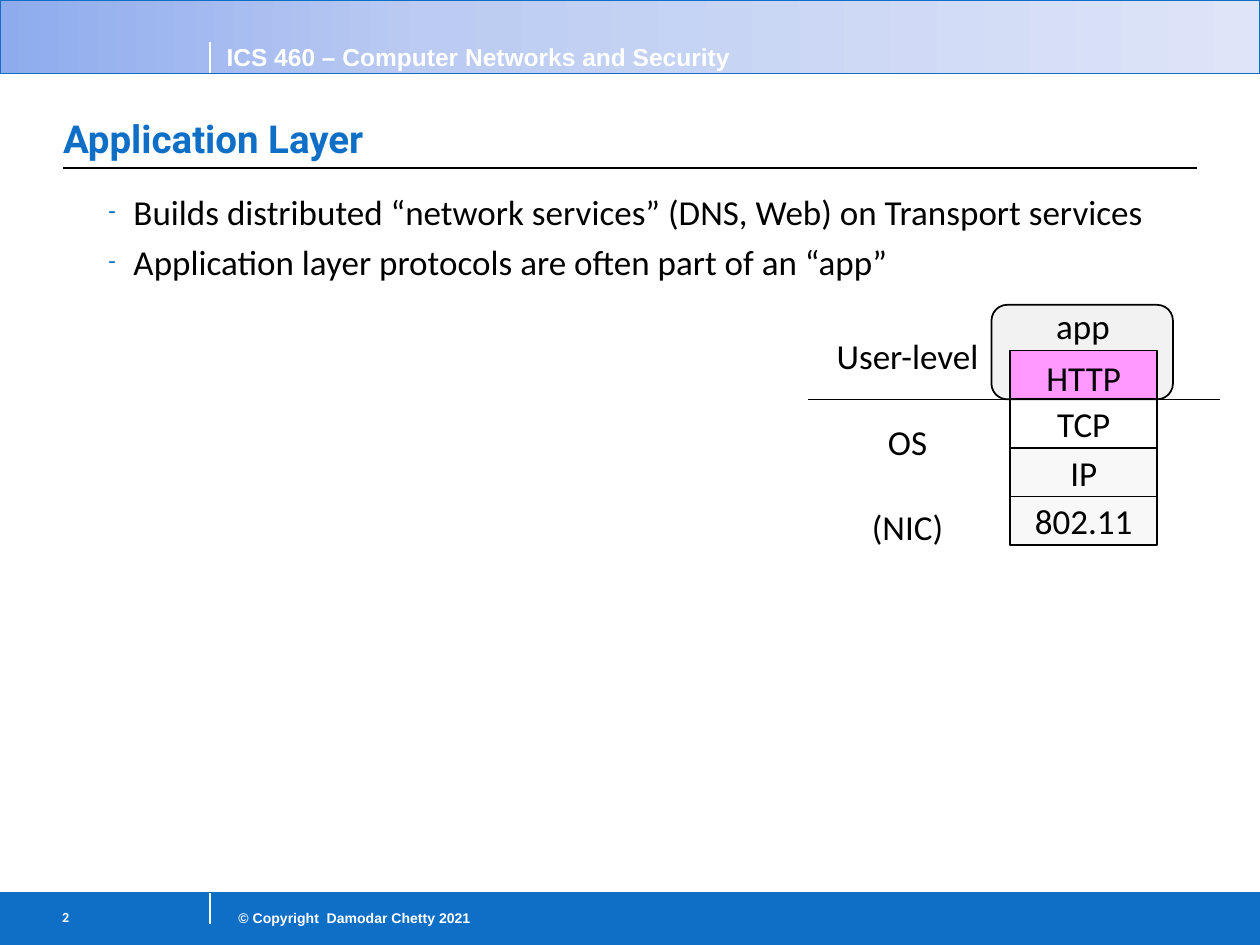
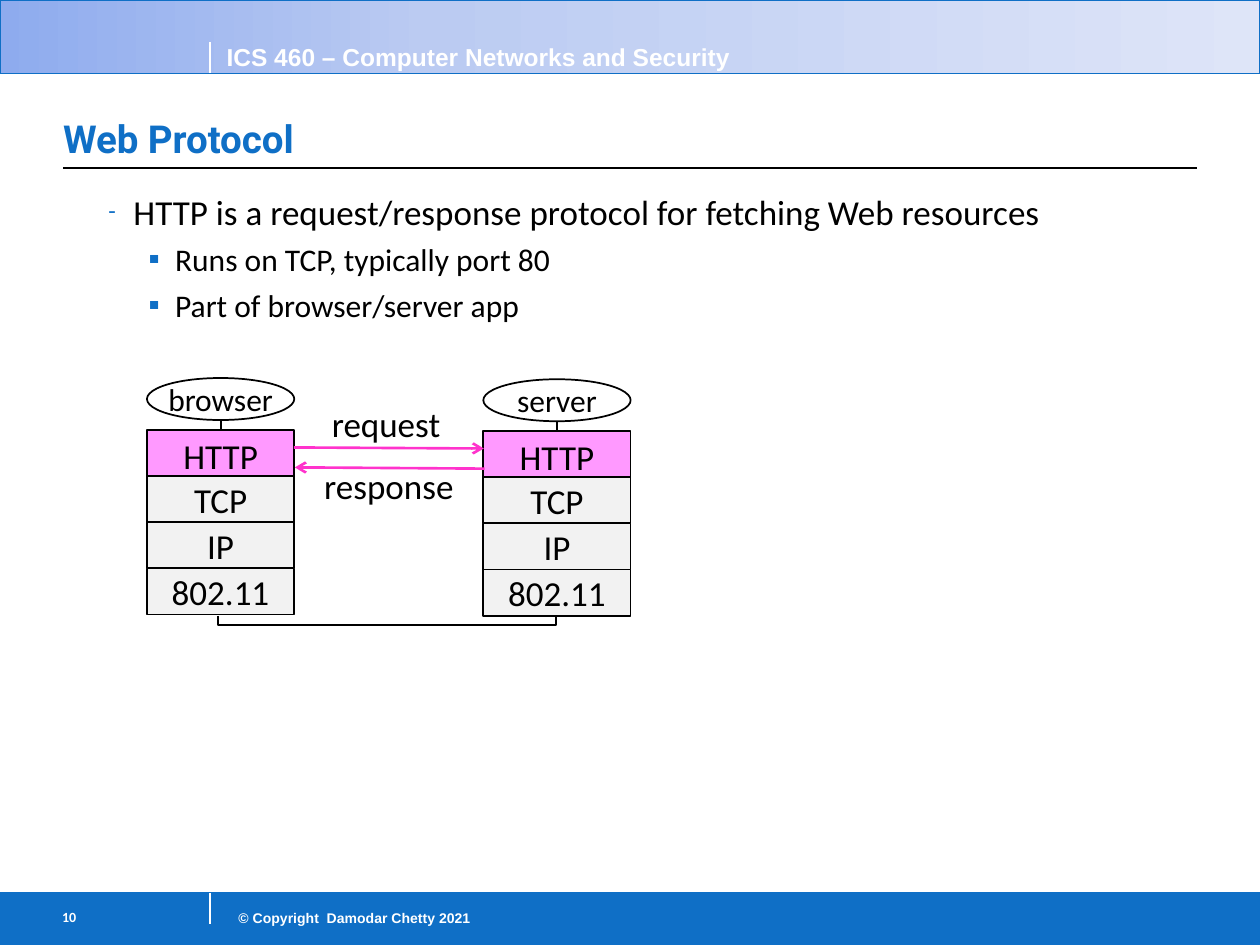
"""Build two lecture slides on the application layer and the web protocol."""
from copy import deepcopy

from lxml.etree import SubElement
from pptx import Presentation
from pptx.dml.color import RGBColor
from pptx.enum.shapes import MSO_CONNECTOR, MSO_SHAPE as SHAPE
from pptx.enum.text import MSO_ANCHOR as ANCHOR, PP_ALIGN as ALIGN
from pptx.oxml.ns import qn
from pptx.util import Pt

COLORS = {key: RGBColor.from_string(value) for key, value in {
    "blue": "0F6FC6", "white": "FFFFFF", "black": "000000", "pink": "FF99FF",
    "magenta": "FF33CC", "gray": "F2F2F2", "pale": "F8F8F8",
    "band_left": "8EABEE", "band_middle": "BBCBF2", "band_right": "DEE5F8"}.items()}


def add_box(page, place, label="", kind=None, fill=None, line="black", weight=1, size=20,
            font="Calibri", color="black", bold=False, align=ALIGN.CENTER,
            anchor=ANCHOR.MIDDLE, insets=(0, 0, 0, 0)):
    """Add a preset shape, or a text box when kind is None, with one formatted label."""
    place = [Pt(value) for value in place]
    if kind is None:
        box = page.shapes.add_textbox(*place)
    else:
        box = page.shapes.add_shape(kind, *place)
        box.shadow.inherit = False
        box.line.color.rgb = COLORS[line]
        box.line.width = Pt(weight)
        if fill:
            box.fill.solid()
            box.fill.fore_color.rgb = COLORS[fill]
        else:
            box.fill.background()
    frame = box.text_frame
    frame.word_wrap = False
    frame.vertical_anchor = anchor
    frame.margin_left, frame.margin_top, frame.margin_right, frame.margin_bottom = map(Pt, insets)
    frame.text = label
    frame.paragraphs[0].alignment = align
    for span in frame.paragraphs[0].runs:
        span.font.name, span.font.size, span.font.bold = font, Pt(size), bold
        span.font.color.rgb = COLORS[color]
    return box


def add_line(page, start, end, color="black", weight=1, arrow=False):
    """Add a straight line, with an open arrowhead at its end on request."""
    line = page.shapes.add_connector(MSO_CONNECTOR.STRAIGHT, *map(Pt, start + end))
    line.line.color.rgb = COLORS[color]
    line.line.width = Pt(weight)
    if arrow:
        SubElement(line.line._ln, qn("a:tailEnd"), type="arrow")
    SubElement(line._element.spPr, qn("a:effectLst"))


deck = Presentation()
deck.slide_width, deck.slide_height = Pt(720), Pt(540)

BULLETS = {1: ("-", 36.7, 14.4, 20, 70000, 3.4), 2: ("▪", 60.5, 15.1, 18, 100000, 3.6)}
CONTENTS = [
    ("Application Layer", "2", [
        (1, "Builds distributed “network services” (DNS, Web) on Transport services"),
        (1, "Application layer protocols are often part of an “app”")]),
    ("Web Protocol", "10", [
        (1, "HTTP is a request/response protocol for fetching Web resources"),
        (2, "Runs on TCP, typically port 80"),
        (2, "Part of browser/server app")]),
]

pages = []
for heading, number, points in CONTENTS:
    page = deck.slides.add_slide(deck.slide_layouts[5])
    pages.append(page)

    add_box(page, (0, 510, 720, 30), kind=SHAPE.RECTANGLE, fill="blue", line="blue", weight=0.75)
    band = add_box(page, (0, 0, 720, 42), kind=SHAPE.RECTANGLE, line="blue", weight=0.75)
    band.fill.gradient()
    band.fill.gradient_angle = 0
    stop_list = band._element.spPr.find(".//" + qn("a:gsLst"))
    stop_list.insert(1, deepcopy(stop_list[0]))
    stops = [(0, "band_left"), (0.34, "band_middle"), (1, "band_right")]
    for stop, (position, color) in zip(band.fill.gradient_stops, stops):
        stop.position = position
        stop.color.rgb = COLORS[color]

    for top, bottom in [(24, 42), (510, 528)]:
        add_line(page, (120, bottom), (120, top), "white", 0.75)
    for height in (42, 510):
        add_line(page, (0, height), (720, height), "blue", 0.5)
    add_line(page, (36, 96), (684, 96), weight=0.75)

    add_box(page, (122.4, 20.2, 310, 24.5), "ICS 460 – Computer Networks and Security",
            size=14, font="Arial", color="white", bold=True, align=ALIGN.LEFT,
            anchor=ANCHOR.TOP, insets=(7.2, 3.6, 7.2, 3.6))
    add_box(page, (120, 516.2, 156.2, 17.3), "© Copyright  Damodar Chetty 2021",
            size=8, font="Arial", color="white", bold=True, align=ALIGN.RIGHT,
            anchor=ANCHOR.TOP, insets=(7.2, 3.6, 7.2, 3.6))
    add_box(page, (24, 514, 96, 25), number, size=8, color="white", bold=True,
            align=ALIGN.LEFT, anchor=ANCHOR.TOP, insets=(11.5, 5, 7.2, 3.6))

    title = page.shapes.title
    title.left, title.top, title.width, title.height = Pt(36), Pt(44), Pt(648), Pt(52)
    frame = title.text_frame
    frame.text = heading
    frame.vertical_anchor = ANCHOR.BOTTOM
    frame.margin_left = frame.margin_right = 0
    frame.margin_top = frame.margin_bottom = Pt(3.6)
    frame.paragraphs[0].alignment = ALIGN.LEFT
    font = frame.paragraphs[0].runs[0].font
    font.name, font.size, font.bold = "Roboto", Pt(22), True
    font.color.rgb = COLORS["blue"]

    body = page.shapes.add_textbox(Pt(36), Pt(104.4), Pt(684), Pt(388))
    frame = body.text_frame
    frame.word_wrap = True
    frame.margin_left = frame.margin_top = frame.margin_right = frame.margin_bottom = Pt(3.6)
    for index, (level, text) in enumerate(points):
        mark, margin, hanging, size, scale, gap = BULLETS[level]
        para = frame.add_paragraph() if index else frame.paragraphs[0]
        para.text = text
        para.level = level
        para.line_spacing = 1.04
        para.space_before = Pt(gap)
        font = para.runs[0].font
        font.name, font.size = "Calibri", Pt(size)
        font.color.rgb = COLORS["black"]
        props = para._p.get_or_add_pPr()
        props.set("marL", str(Pt(margin)))
        props.set("indent", str(-Pt(hanging)))
        tint = SubElement(props, qn("a:buClr"))
        SubElement(tint, qn("a:srgbClr"), val=str(COLORS["blue"]))
        SubElement(props, qn("a:buSzPct"), val=str(scale))
        SubElement(props, qn("a:buFont"), typeface="Calibri")
        SubElement(props, qn("a:buChar"), char=mark)

layer_page, web_page = pages
WIDTH = 84.2
LAYERS = ["HTTP", "TCP", "IP", "802.11"]

add_box(layer_page, (566.6, 174.2, 103.7, 54), kind=SHAPE.ROUNDED_RECTANGLE, fill="gray")
web_stacks = [(84, 216, "browser"), (276.2, 216.7, "server")]

builder = web_page.shapes.build_freeform(Pt(124.6), Pt(352))
builder.add_line_segments([(Pt(x), Pt(y)) for x, y in [(124.6, 357), (317.5, 357), (317.5, 350)]],
                          close=False)
link = builder.convert_to_shape()
link.shadow.inherit = False
link.fill.background()
link.line.color.rgb = COLORS["black"]
link.line.width = Pt(1)

for left, top, name in web_stacks:
    add_box(web_page, (left, top, WIDTH, 24), kind=SHAPE.OVAL, fill="white")
    add_box(web_page, (left, top, WIDTH, 24), name, size=18)
    middle = left + WIDTH / 2
    add_line(web_page, (middle, top + 30), (middle, top + 24))

stacks = [(layer_page, 577.2, 200.3, 27.8, [None, "pale", "pale"])]
stacks += [(web_page, left, top + 29.6, 26.4, ["gray"] * 3) for left, top, _ in web_stacks]
for page, left, top, step, fills in stacks:
    for row, (layer, fill) in reversed(list(enumerate(zip(LAYERS, ["pink"] + fills)))):
        add_box(page, (left, top + row * step, WIDTH, step), layer, SHAPE.RECTANGLE, fill,
                insets=(0, 0 if row else 3, 0, 0))

add_line(layer_page, (462, 228.2), (697, 228.2), weight=0.75)
add_line(web_page, (168, 255.7), (276.5, 256.3), "magenta", 1.5, arrow=True)
add_line(web_page, (277, 267.8), (168.5, 267.1), "magenta", 1.5, arrow=True)

labels = [(layer_page, 618.8, 170.2, "app"), (layer_page, 518.6, 187.4, "User-level"),
          (layer_page, 518.6, 236.9, "OS"), (layer_page, 518.6, 285.1, "(NIC)"),
          (web_page, 220.6, 226.6, "request"), (web_page, 222.2, 262.1, "response")]
for page, middle, top, text in labels:
    add_box(page, (middle - 48, top, 96, 31.7), text, anchor=ANCHOR.TOP,
            insets=(7.2, 3.6, 7.2, 3.6))

deck.save("out.pptx")
